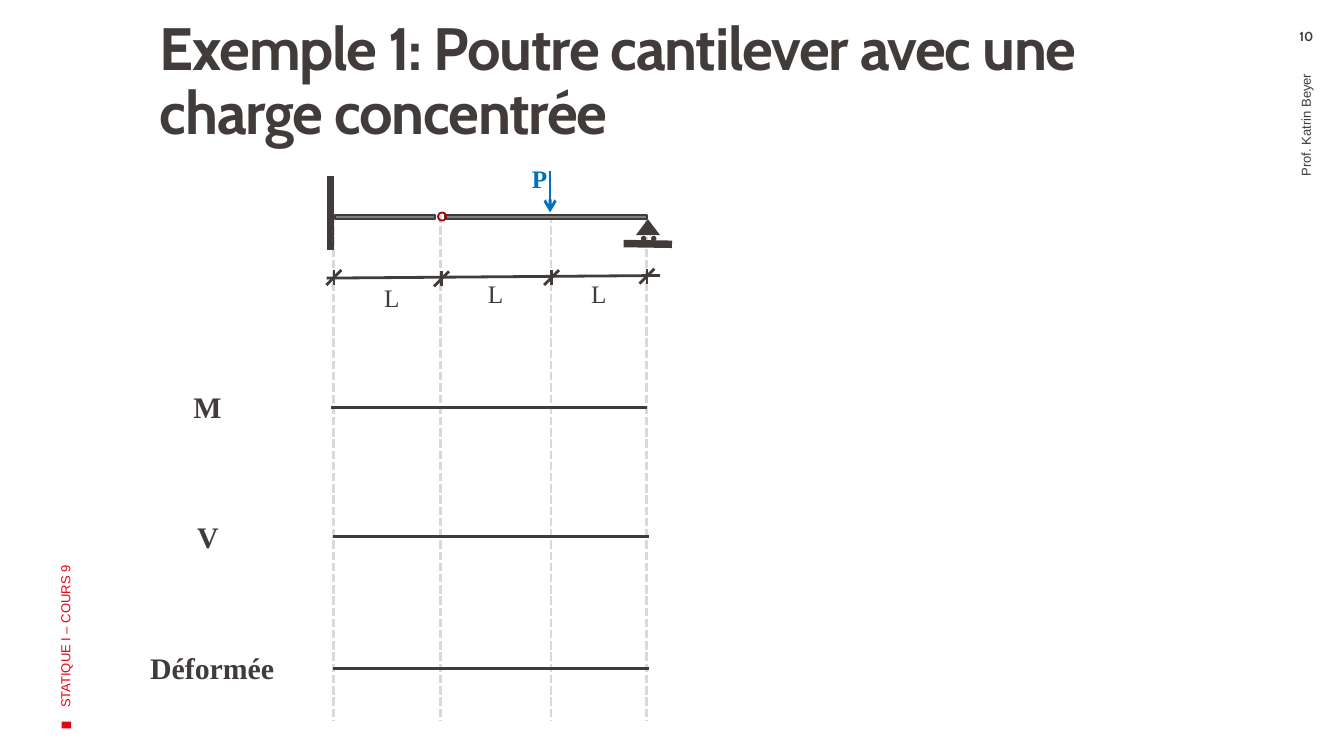
from lxml import etree
from pptx import Presentation
from pptx.dml.color import RGBColor
from pptx.enum import dml, shapes, text
from pptx.oxml import ns
from pptx.util import Pt

COLORS = {
    "ink": "413C3A",
    "red": "E30613",
    "hinge": "A8040E",
    "load": "0070C0",
    "guide": "D9D9D9",
    "beam": "808080",
}
SERIF = "Times New Roman"
BEAM_TOP, BEAM_DEPTH = 115.2, 2.2
# Points along the beam: fixed end, hinge, load, roller
STATIONS = [178.6, 236.2, 295.2, 346.3]
GUIDE_TOP, GUIDE_BOTTOM = 115.2, 385.9


def rgb(name):
    return RGBColor.from_string(COLORS[name])


def add_line(parent, start, end, color="ink", width=1.5, dashed=False, arrow=False):
    line = parent.add_connector(
        shapes.MSO_CONNECTOR.STRAIGHT, *(Pt(v) for v in (*start, *end)))
    line.line.color.rgb = rgb(color)
    line.line.width = Pt(width)
    if dashed:
        line.line.dash_style = dml.MSO_LINE.SQUARE_DOT
    if arrow:
        etree.SubElement(line.line._get_or_add_ln(), ns.qn("a:tailEnd"), type="arrow")
    etree.SubElement(line._element.spPr, ns.qn("a:effectLst"))
    return line


def add_solid(parent, kind, box, fill=None, outline=None, rotation=0):
    solid = parent.add_shape(kind, *(Pt(v) for v in box))
    solid.shadow.inherit = False
    solid.rotation = rotation
    if fill:
        solid.fill.solid()
        solid.fill.fore_color.rgb = rgb(fill)
    else:
        solid.fill.background()
    if outline:
        solid.line.color.rgb = rgb(outline)
        solid.line.width = Pt(1)
    else:
        solid.line.fill.background()
    return solid


def add_label(parent, words, box, size, font=SERIF, color="ink", bold=False,
              wrap=True, grow=False, rotation=0, align=None, middle=False,
              insets=(7.2, 3.6, 7.2, 3.6), line_spacing=None, tracking=None):
    """Add one run of text; insets are left, top, right, bottom."""
    label = parent.add_textbox(*(Pt(v) for v in box))
    label.rotation = rotation
    frame = label.text_frame
    frame.word_wrap = wrap
    frame.auto_size = (text.MSO_AUTO_SIZE.SHAPE_TO_FIT_TEXT if grow
                       else text.MSO_AUTO_SIZE.NONE)
    frame.vertical_anchor = text.MSO_ANCHOR.MIDDLE if middle else text.MSO_ANCHOR.TOP
    (frame.margin_left, frame.margin_top,
     frame.margin_right, frame.margin_bottom) = (Pt(v) for v in insets)
    paragraph = frame.paragraphs[0]
    paragraph.alignment = align
    paragraph.line_spacing = line_spacing
    run = paragraph.add_run()
    run.text = words
    run.font.name = font
    run.font.size = Pt(size)
    run.font.bold = bold
    run.font.color.rgb = rgb(color)
    if tracking:
        run.font._element.set("spc", str(round(tracking * 100)))
    return label


def add_tick(parent, x, y, half=4):
    """Mark a dimension line with an upright and a slanted stroke."""
    add_line(parent, (x, y - half), (x, y + half))
    add_line(parent, (x - half, y + half), (x + half, y - half))


def add_page_frame(parent):
    add_solid(parent, shapes.MSO_SHAPE.RECTANGLE, (33.8, 385.9, 3.6, 5),
              fill="red", rotation=270)
    add_label(parent, "Exemple 1: Poutre cantilever avec une charge concentrée",
              (71.3, 10.1, 552.2, 84.2), 32, font="Cabin", bold=True,
              insets=(14.4, 0, 5.8, 3.6), line_spacing=0.9, tracking=-0.7)
    add_label(parent, "STATIQUE I – COURS 9", (-96.5, 218.9, 262.8, 72), 7,
              font="Arial", color="red", rotation=270, middle=True)
    add_label(parent, "Prof. Katrin Beyer", (560.2, 147.6, 278.6, 40.3), 7,
              font="Arial", rotation=270, middle=True,
              align=text.PP_ALIGN.RIGHT, insets=(7.2, 3.6, 11, 3.6))
    add_label(parent, "10", (679.7, 15.1, 40.3, 13), 7, font="Cabin", bold=True,
              align=text.PP_ALIGN.CENTER, insets=(7.2, 0, 7.2, 0))


def add_supports(parent):
    add_line(parent, (177.1, 94.3), (177.1, 133.9), width=4)
    add_solid(parent, shapes.MSO_SHAPE.ISOSCELES_TRIANGLE,
              (340.6, 117.4, 13, 8.6), fill="ink")
    add_line(parent, (334.1, 130.5), (360, 130.9), width=4)
    for left in (343.4, 348.8):
        add_solid(parent, shapes.MSO_SHAPE.OVAL, (left, 126.4, 2.9, 2.9), fill="ink")


def add_beam(parent):
    for left, right in ((179.3, 233.3), (238.3, 346.7)):
        add_solid(parent, shapes.MSO_SHAPE.RECTANGLE,
                  (left, BEAM_TOP, right - left, BEAM_DEPTH),
                  fill="beam", outline="ink")
    add_solid(parent, shapes.MSO_SHAPE.OVAL, (234.7, 113.9, 4.3, 4.3), outline="hinge")
    add_label(parent, "P", (277.9, 84.2, 18, 20.9), 13.5, color="load",
              bold=True, wrap=False, grow=True)
    add_line(parent, (294.7, 91.4), (294.7, 113.8), color="load", arrow=True)


def add_dimensions(parent):
    add_line(parent, (175, 149), (353.5, 147.6))
    for x, y in zip(STATIONS, (148.7, 149.4, 148.7, 148)):
        add_tick(parent, x + 0.3, y)
    for left, top in ((198.7, 147.6), (254.2, 145.4), (309.6, 145.4)):
        add_label(parent, "L", (left, top, 18, 20.9), 13.5, wrap=False, grow=True)


def add_diagram_axis(parent, name, left, width, y, start):
    add_line(parent, (start, y), (start + 169, y))
    add_label(parent, name, (left, y - 13.3, width, 26.6), 16, bold=True, grow=True)


def main():
    presentation = Presentation()
    presentation.slide_width, presentation.slide_height = Pt(720), Pt(405)
    slide = presentation.slides.add_slide(presentation.slide_layouts[6])

    for x in STATIONS:
        add_line(slide.shapes, (x, GUIDE_TOP), (x, GUIDE_BOTTOM),
                 color="guide", dashed=True)
    add_page_frame(slide.shapes)

    structure = slide.shapes.add_group_shape().shapes
    add_supports(structure)
    add_beam(structure)
    add_dimensions(structure)

    for name, left, width, y, start in (
            ("M", 96.5, 28.1, 218.2, 177.5),
            ("V", 98.6, 23.8, 287.5, 178.6),
            ("Déformée", 73.4, 82.1, 358, 178.6)):
        add_diagram_axis(slide.shapes, name, left, width, y, start)

    presentation.save("out.pptx")


if __name__ == "__main__":
    main()
